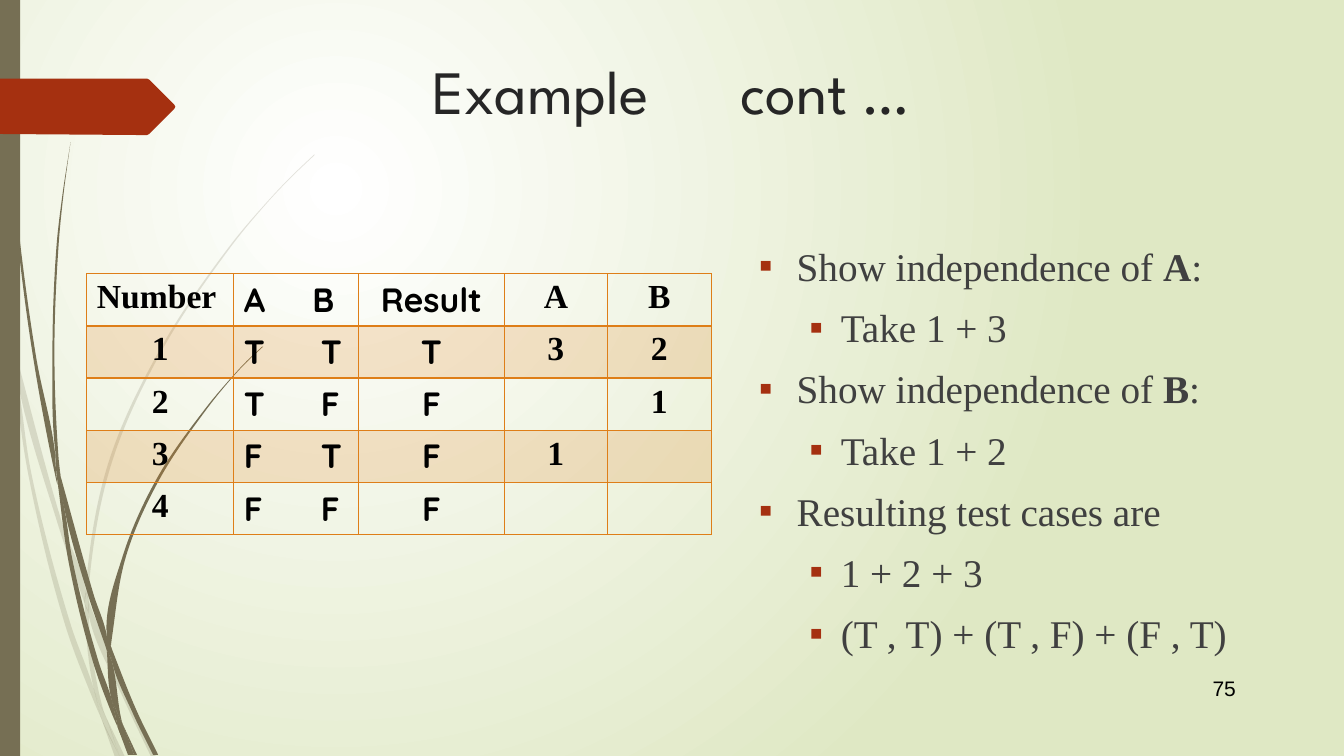
"""Build the slide with the truth table and its independence test cases."""
from math import dist

from lxml.etree import SubElement
from pptx import Presentation
from pptx.dml.color import RGBColor
from pptx.enum.shapes import MSO_SHAPE
from pptx.enum.text import MSO_ANCHOR, PP_ALIGN
from pptx.oxml.ns import qn
from pptx.util import Pt

LEFT, CENTER = PP_ALIGN.LEFT, PP_ALIGN.CENTER
TOP, MIDDLE = MSO_ANCHOR.TOP, MSO_ANCHOR.MIDDLE
RECTANGLE = MSO_SHAPE.RECTANGLE

THEME = {
    "glow": "FFFFFF", "edge": "DFE8C4", "stem": "766F54", "accent": "A53010", "grid": "DE7E18",
    "title": {"name": "League Spartan", "size": 44, "color": "262626"},
    "body": {"name": "Times New Roman", "size": 28, "color": "404040"},
    "cell": {"name": "Times New Roman", "size": 24, "color": "000000", "bold": True},
    "truth": {"name": "Quicksand", "size": 24, "color": "000000", "bold": True},
    "number": {"name": "Arial", "size": 15, "color": "000000"},
}

TITLE = "Example\tcont …"
PAGE_NUMBER = "75"
BULLETS = [
    (0, ["Show independence of ", "A", ":"]),
    (1, ["Take 1 + 3"]),
    (0, ["Show independence of ", "B", ":"]),
    (1, ["Take 1 + 2"]),
    (0, ["Resulting test cases are"]),
    (1, ["1 + 2 + 3"]),
    (1, ["(T , T) + (T , F) + (F , T)"]),
]
INDENTS = [(27, -27), (58.5, -22.5)]
ROWS = [
    ["Number", "A\tB", "Result", "A", "B"],
    ["1", "T\tT", "T", "3", "2"],
    ["2", "T\tF", "F", "", "1"],
    ["3", "F\tT", "F", "1", ""],
    ["4", "F\tF", "F", "", ""],
]
COLUMN_WIDTHS = [105, 89, 104.4, 73.4, 74.4]
ROW_HEIGHT = 37.3
TRUTH_COLUMN = 1

GRID = 0.72
PALE_BLADES = [
    [(11, 350), (9, 322), (0, 282), (0, 299), (10, 344)],
    [(58, 522), (84, 599), (85, 586), (62, 520), (14, 345), (17, 376)],
    [(92, 607), (88, 596), (88, 610), (123, 694), (150, 751), (155, 751), (127, 692)],
    [(119, 751), (124, 751), (105, 711)],
    [(93, 683), (70, 619), (31, 469), (17, 376), (11, 350), (28, 470), (65, 621), (92, 693),
     (101, 714), (99, 707)],
    [(84, 599), (87, 646), (93, 683), (96, 692), (105, 711), (103, 706), (91, 646), (88, 610),
     (88, 608)],
    [(88, 584), (110, 462), (160, 349), (229, 245), (268, 198), (290, 175), (312, 154),
     (312, 153), (289, 175), (268, 197), (228, 244), (158, 348), (107, 461), (85, 584),
     (85, 586), (88, 596)],
    [(101, 714), (114, 751), (119, 751)],
    [(88, 608), (88, 596), (85, 586), (84, 599)],
    [(96, 692), (93, 683), (99, 707), (101, 714), (119, 751), (105, 711)],
]
DARK_BLADES = [
    [(7, 110), (17, 233), (33, 355), (56, 477), (57, 481), (55, 457), (55, 453), (36, 355),
     (19, 232), (8, 109), (5, 48), (4, 0), (3, 0), (4, 48)],
    [(88, 592), (106, 645), (106, 631), (93, 590), (60, 472), (64, 505)],
    [(113, 649), (110, 641), (111, 656), (132, 708), (152, 749), (157, 749), (136, 706)],
    [(110, 691), (98, 657), (72, 556), (64, 505), (57, 477), (68, 557), (93, 659), (111, 708),
     (117, 722), (116, 717)],
    [(60, 472), (58, 453), (54, 349), (58, 245), (63, 193), (70, 141), (62, 193), (56, 245),
     (52, 349), (55, 449)],
    [(133, 749), (136, 749), (122, 719)],
    [(57, 477), (64, 505), (60, 472), (55, 449), (55, 453)],
    [(111, 633), (125, 552), (158, 476), (205, 406), (231, 374), (245, 359), (261, 344),
     (260, 344), (245, 358), (231, 373), (204, 405), (156, 474), (122, 551), (106, 631),
     (110, 641)],
    [(117, 722), (127, 749), (131, 749)],
    [(106, 645), (110, 691), (116, 706), (122, 719), (121, 716), (111, 656), (109, 651)],
    [(106, 645), (109, 651), (111, 656), (110, 641), (106, 631)],
    [(116, 706), (110, 691), (116, 717), (117, 722), (130, 749), (133, 749), (122, 719)],
]
ARROW = [(173, 108), (148, 133), (146, 134), (136, 134), (0, 133), (0, 78), (136, 78), (146, 78),
         (148, 79), (173, 104), (174, 106)]


def set_alpha(properties, percent):
    color = properties.find(qn("a:solidFill")).find(qn("a:srgbClr"))
    SubElement(color, qn("a:alpha"), val=str(percent * 1000))


def paint(shape, color, alpha=100):
    shape.shadow.inherit = False
    shape.fill.solid()
    shape.fill.fore_color.rgb = RGBColor.from_string(color)
    shape.line.fill.background()
    if alpha < 100:
        set_alpha(shape._element.spPr, alpha)


def paint_background(page):
    fill = page.background.fill
    fill.gradient()
    for stop, position, color in zip(fill.gradient_stops, (0, 1), ("glow", "edge")):
        stop.position = position
        stop.color.rgb = RGBColor.from_string(THEME[color])
    gradient = next(page._element.iter(qn("a:gradFill")))
    gradient.remove(gradient.find(qn("a:lin")))
    circle = SubElement(gradient, qn("a:path"), path="circle")
    SubElement(circle, qn("a:fillToRect"), l="50000", t="50000", r="100000", b="100000")


def control_point(before, here, there):
    reach = dist(here, there)
    ahead = [(b - a) / reach for a, b in zip(here, there)]
    behind = [(b - a) / dist(before, here) for a, b in zip(before, here)]
    if sum(a * b for a, b in zip(ahead, behind)) > 0.8:
        total = [a + b for a, b in zip(ahead, behind)]
        ahead = [value / dist(total, (0, 0)) for value in total]
    return [a + b * reach / 3 for a, b in zip(here, ahead)]


def bend_edges(shape):
    outline = next(shape._element.iter(qn("a:path")))
    knots = [(int(point.get("x")), int(point.get("y"))) for point in outline.iter(qn("a:pt"))]
    for edge in list(outline)[1:]:
        outline.remove(edge)
    for index, start in enumerate(knots):
        end, after = (knots[(index + step) % len(knots)] for step in (1, 2))
        controls = control_point(knots[index - 1], start, end), control_point(after, end, start)
        curve = SubElement(outline, qn("a:cubicBezTo"))
        for x, y in (*controls, end):
            SubElement(curve, qn("a:pt"), x=str(round(x)), y=str(round(y)))
    SubElement(outline, qn("a:close"))


def add_outline(shapes, knots, color, alpha=100):
    points = [(Pt(x * GRID), Pt(y * GRID)) for x, y in knots]
    builder = shapes.build_freeform(*points[0])
    builder.add_line_segments(points[1:], close=True)
    shape = builder.convert_to_shape()
    paint(shape, color, alpha)
    return shape


def add_span(para, text, style, **changes):
    span = para.add_run()
    span.text = text
    values = {**style, **changes}
    span.font.color.rgb = RGBColor.from_string(values.pop("color"))
    values["size"] = Pt(values["size"])
    for name, value in values.items():
        setattr(span.font, name, value)


def add_tab_stop(para, position):
    stops = SubElement(para._p.get_or_add_pPr(), qn("a:tabLst"))
    SubElement(stops, qn("a:tab"), pos=str(Pt(position)), algn="l")


def add_box(page, place, **settings):
    frame = page.shapes.add_textbox(*map(Pt, place)).text_frame
    for name, value in {"word_wrap": True, "vertical_anchor": TOP, **settings}.items():
        setattr(frame, name, value)
    return frame


def add_bullets(page):
    frame = add_box(page, (535, 126, 376.5, 382), margin_top=Pt(47))
    for index, (level, spans) in enumerate(BULLETS):
        para = frame.add_paragraph() if index else frame.paragraphs[0]
        para.level, para.line_spacing = level, Pt(33.7)
        para.space_before = Pt(10 if index else 0)
        properties = para._p.get_or_add_pPr()
        for name, value in zip(("marL", "indent"), INDENTS[level]):
            properties.set(name, str(Pt(value)))
        color = SubElement(properties, qn("a:buClr"))
        SubElement(color, qn("a:srgbClr"), val=THEME["accent"])
        SubElement(properties, qn("a:buFont"), typeface=THEME["body"]["name"])
        SubElement(properties, qn("a:buChar"), char="▪")
        for position, text in enumerate(spans):
            add_span(para, text, THEME["body"], bold=position == 1)


def format_cell(cell, row, column, text):
    properties = cell._tc.get_or_add_tcPr()
    thick = {0: "B", 1: "T"}.get(row)
    for side in "LRTB":
        line = SubElement(properties, qn(f"a:ln{side}"), w=str(Pt(2 if side == thick else 1)))
        SubElement(SubElement(line, qn("a:solidFill")), qn("a:srgbClr"), val=THEME["grid"])
    if row % 2:
        cell.fill.solid()
        cell.fill.fore_color.rgb = RGBColor.from_string(THEME["grid"])
        set_alpha(properties, 20)
    else:
        cell.fill.background()
    para = cell.text_frame.paragraphs[0]
    para.alignment = LEFT if column == TRUTH_COLUMN or text == "Number" else CENTER
    if column == TRUTH_COLUMN:
        add_tab_stop(para, 55 if row else 49)
    if text:
        add_span(para, text, THEME["truth" if column in (TRUTH_COLUMN, 2) else "cell"])


def add_truth_table(page):
    place = (62, 195.5, sum(COLUMN_WIDTHS), ROW_HEIGHT * len(ROWS))
    table = page.shapes.add_table(len(ROWS), len(COLUMN_WIDTHS), *map(Pt, place)).table
    table.first_row = table.horz_banding = False
    for column, width in zip(table.columns, COLUMN_WIDTHS):
        column.width = Pt(width)
    for row, texts in enumerate(ROWS):
        table.rows[row].height = Pt(ROW_HEIGHT)
        for column, text in enumerate(texts):
            format_cell(table.cell(row, column), row, column, text)


def main():
    deck = Presentation()
    deck.slide_width, deck.slide_height = Pt(960), Pt(540)
    page = deck.slides.add_slide(deck.slide_layouts[6])
    paint_background(page)
    for blades, alpha in ((PALE_BLADES, 20), (DARK_BLADES, 100)):
        group = page.shapes.add_group_shape()
        for knots in blades:
            bend_edges(add_outline(group.shapes, knots, THEME["stem"], alpha))
    paint(page.shapes.add_shape(RECTANGLE, 0, 0, Pt(14.4), Pt(540)), THEME["stem"])
    add_outline(page.shapes, ARROW, THEME["accent"])
    add_bullets(page)
    add_truth_table(page)
    title = add_box(page, (172, 34.5, 702, 101), margin_left=Pt(136.7)).paragraphs[0]
    add_tab_stop(title, 220)
    add_span(title, TITLE, THEME["title"])
    number = add_box(page, (859, 477, 48, 29), vertical_anchor=MIDDLE)
    add_span(number.paragraphs[0], PAGE_NUMBER, THEME["number"])
    deck.save("out.pptx")


if __name__ == "__main__":
    main()
